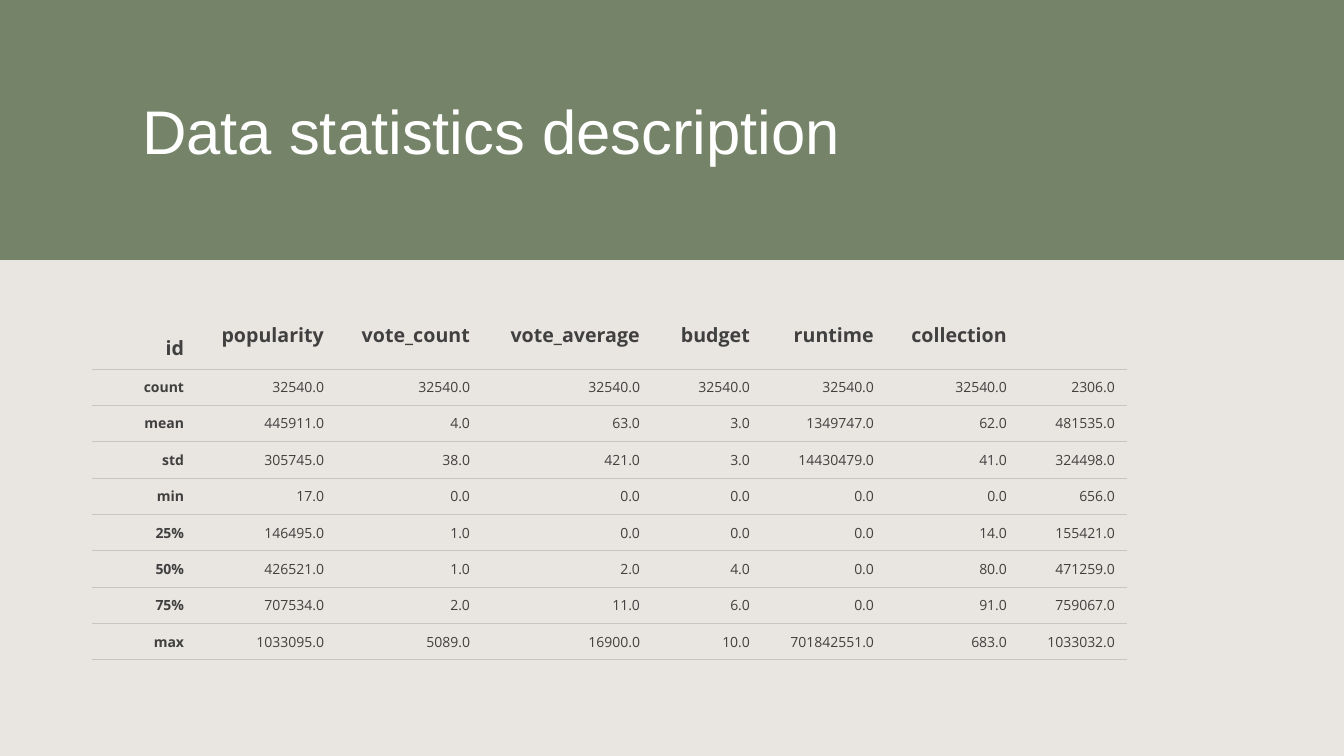
from lxml import etree
from pptx import Presentation
from pptx.dml.color import RGBColor
from pptx.enum.shapes import MSO_SHAPE as Shape
from pptx.enum.text import MSO_ANCHOR as Anchor, PP_ALIGN as Align
from pptx.oxml import parse_xml
from pptx.oxml.ns import nsdecls, qn
from pptx.util import Pt

PX = 914400 * 10 // 1008
SLIDE = (0, 0, 1344, 756)
BANNER = (0, 0, 1344, 260)
STATISTICS = (92, 300, 1035, 360)
COLORS = {"sand": "E0DAD4", "green": "758468", "white": "FFFFFF",
          "ink": "404040", "rule": "C7C6C1"}
NO_STYLE = "{2D5ABB26-0587-4C30-8999-92F81FD0307C}"

HEADER_HEIGHT = 69
COLUMN_WIDTHS = [104, 140, 146, 170, 110, 124, 133, 108]
HEADINGS = ["id", "popularity", "vote_count", "vote_average", "budget",
            "runtime", "collection", ""]
FIGURES = [
    ["count", "32540.0", "32540.0", "32540.0", "32540.0", "32540.0", "32540.0", "2306.0"],
    ["mean", "445911.0", "4.0", "63.0", "3.0", "1349747.0", "62.0", "481535.0"],
    ["std", "305745.0", "38.0", "421.0", "3.0", "14430479.0", "41.0", "324498.0"],
    ["min", "17.0", "0.0", "0.0", "0.0", "0.0", "0.0", "656.0"],
    ["25%", "146495.0", "1.0", "0.0", "0.0", "0.0", "14.0", "155421.0"],
    ["50%", "426521.0", "1.0", "2.0", "4.0", "0.0", "80.0", "471259.0"],
    ["75%", "707534.0", "2.0", "11.0", "6.0", "0.0", "91.0", "759067.0"],
    ["max", "1033095.0", "5089.0", "16900.0", "10.0", "701842551.0", "683.0", "1033032.0"],
]


def emu(*pixels):
    return [round(value * PX) for value in pixels]


def rgb(name):
    return RGBColor.from_string(COLORS[name])


def set_font(paragraph, face, size, color, bold=False):
    font = paragraph.font
    font.name, font.size, font.bold = face, Pt(size), bold
    font.color.rgb = rgb(color)


def add_panel(slide, box, color, opacity=100):
    panel = slide.shapes.add_shape(Shape.RECTANGLE, *emu(*box))
    panel.shadow.inherit = False
    panel.line.fill.background()
    panel.fill.solid()
    panel.fill.fore_color.rgb = rgb(color)
    if opacity < 100:
        tint = panel.element.spPr.find(".//" + qn("a:srgbClr"))
        etree.SubElement(tint, qn("a:alpha")).set("val", str(opacity * 1000))


def add_banner(slide, box):
    left, top, width, height = box
    add_panel(slide, box, "green")
    title = slide.shapes.title
    title.element.getparent().append(title.element)
    title.left, title.top, title.width, title.height = emu(
        left + 132, top + 42, width - 241, height - 84)
    title.text_frame.text = "Data statistics description"
    title.text_frame.vertical_anchor = Anchor.MIDDLE
    heading = title.text_frame.paragraphs[0]
    heading.alignment = Align.LEFT
    set_font(heading, "Arial", 44, "white")


def fill_cell(cell, text, size, bold):
    cell.margin_left, cell.margin_top, cell.margin_right, cell.margin_bottom = emu(16, 8, 12, 8)
    cell.vertical_anchor = Anchor.MIDDLE
    cell.text = text
    paragraph = cell.text_frame.paragraphs[0]
    paragraph.alignment = Align.RIGHT
    set_font(paragraph, "Open Sans", size, "ink", bold)
    cell_properties = cell._tc.get_or_add_tcPr()
    cell_properties.append(parse_xml(
        f'<a:lnB {nsdecls("a")} w="{Pt(0.75)}"><a:solidFill>'
        f'<a:srgbClr val="{COLORS["rule"]}"/></a:solidFill></a:lnB>'))
    cell.fill.background()


def add_statistics(slide, box):
    rows = [HEADINGS] + FIGURES
    frame = slide.shapes.add_table(len(rows), len(HEADINGS), *emu(*box))
    table = frame.table
    table.first_row = table.horz_banding = False
    table._tbl.tblPr.find(qn("a:tableStyleId")).text = NO_STYLE
    for column, width in zip(table.columns, emu(*COLUMN_WIDTHS)):
        column.width = width
    row_height = (box[3] - HEADER_HEIGHT) / len(FIGURES)
    for r, values in enumerate(rows):
        is_header = r == 0
        table.rows[r].height = emu(HEADER_HEIGHT if is_header else row_height)[0]
        for c, value in enumerate(values):
            fill_cell(table.cell(r, c), value, 14 if is_header else 10, is_header or c == 0)
    table.cell(0, 0).vertical_anchor = Anchor.BOTTOM


def build_slide(presentation):
    slide = presentation.slides.add_slide(presentation.slide_layouts[5])
    slide.background.fill.solid()
    slide.background.fill.fore_color.rgb = rgb("white")
    add_panel(slide, SLIDE, "sand", 70)
    add_banner(slide, BANNER)
    add_statistics(slide, STATISTICS)


presentation = Presentation()
presentation.slide_width, presentation.slide_height = emu(*SLIDE[2:])
build_slide(presentation)
presentation.save("out.pptx")
